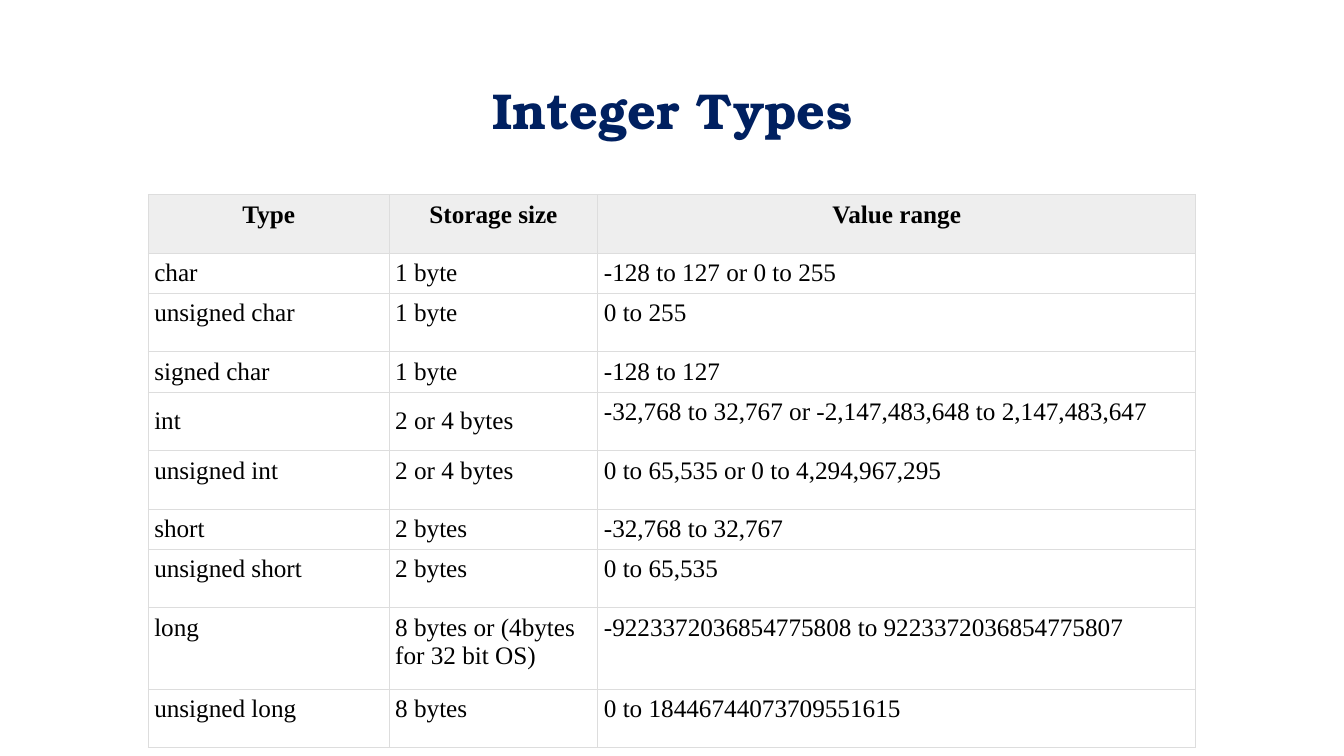
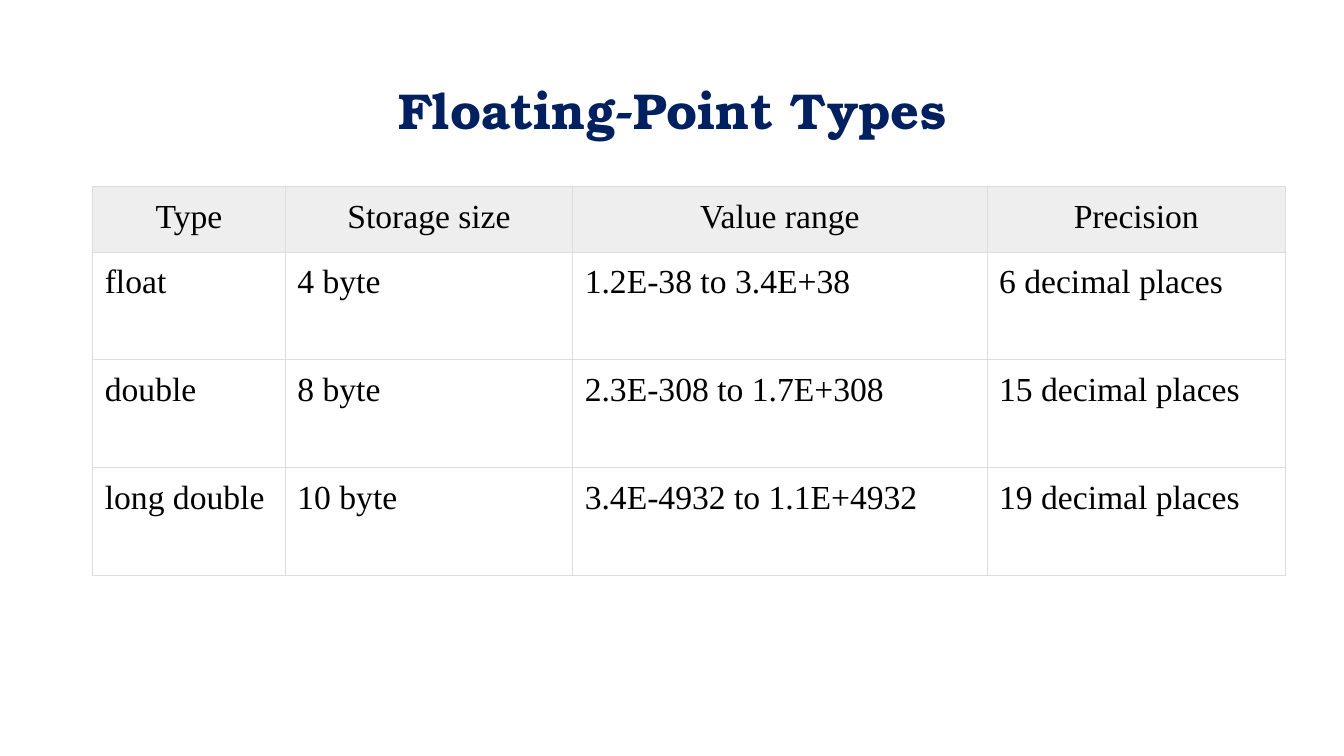
from dataclasses import dataclass

from lxml import etree
from pptx import Presentation
from pptx import util as u
from pptx.dml.color import RGBColor
from pptx.enum import text
from pptx.oxml.ns import qn

TITLE_ONLY = 5
NAVY, BLACK, HEADER_GREY, BORDER_GREY = "002060", "000000", "EEEEEE", "DDDDDD"
TITLE_FONT = {"name": "TeX Gyre Bonum", "size": u.Pt(36), "bold": True}
TITLE_FRAME = {"left": u.Inches(0.92), "top": u.Inches(0.4),
               "width": u.Inches(11.5), "height": u.Inches(1.45)}
TABLE_FONT = "Times New Roman"
BORDER_WIDTH = u.Pt(0.75)
MARGINS = ("margin_left", "margin_right", "margin_top", "margin_bottom")


@dataclass(frozen=True)
class TypeTable:
    title: str
    left: float
    top: float
    columns: tuple[float, ...]
    row_heights: tuple[float, ...]
    margin: float
    font_size: int
    bold_header: bool
    rows: tuple[tuple[str, ...], ...]
    middle_cells: tuple[tuple[int, int], ...] = ()


INTEGER_TYPES = TypeTable(
    title="Integer Types",
    left=1.47, top=1.93,
    columns=(2.39, 2.07, 5.93),
    row_heights=(0.58, 0.4, 0.58, 0.4, 0.58, 0.58, 0.4, 0.58, 0.81, 0.58),
    margin=0.06, font_size=18, bold_header=True,
    rows=(
        ("Type", "Storage size", "Value range"),
        ("char", "1 byte", "-128 to 127 or 0 to 255"),
        ("unsigned char", "1 byte", "0 to 255"),
        ("signed char", "1 byte", "-128 to 127"),
        ("int", "2 or 4 bytes", "-32,768 to 32,767 or -2,147,483,648 to 2,147,483,647"),
        ("unsigned int", "2 or 4 bytes", "0 to 65,535 or 0 to 4,294,967,295"),
        ("short", "2 bytes", "-32,768 to 32,767"),
        ("unsigned short", "2 bytes", "0 to 65,535"),
        ("long", "8 bytes or (4bytes for 32 bit OS)",
         "-9223372036854775808 to 9223372036854775807"),
        ("unsigned long", "8 bytes", "0 to 18446744073709551615"),
    ),
    middle_cells=((4, 0), (4, 1)),
)

FLOATING_POINT_TYPES = TypeTable(
    title="Floating-Point Types",
    left=0.92, top=1.85,
    columns=(1.91, 2.85, 4.11, 2.96),
    row_heights=(0.65, 1.07, 1.07, 1.07),
    margin=0.12, font_size=24, bold_header=False,
    rows=(
        ("Type", "Storage size", "Value range", "Precision"),
        ("float", "4 byte", "1.2E-38 to 3.4E+38", "6 decimal places"),
        ("double", "8 byte", "2.3E-308 to 1.7E+308", "15 decimal places"),
        ("long double", "10 byte", "3.4E-4932 to 1.1E+4932", "19 decimal places"),
    ),
)


def color(hex_value: str) -> RGBColor:
    return RGBColor.from_string(hex_value)


def apply(target, values: dict) -> None:
    """Set each named attribute of target."""
    for name, value in values.items():
        setattr(target, name, value)


def add_title(slide, title: str) -> None:
    shape = slide.shapes.title
    apply(shape, TITLE_FRAME)
    shape.text_frame.text = title
    shape.text_frame.vertical_anchor = text.MSO_ANCHOR.MIDDLE
    paragraph = shape.text_frame.paragraphs[0]
    apply(paragraph, {"alignment": text.PP_ALIGN.CENTER, "line_spacing": 0.9})
    apply(paragraph.font, TITLE_FONT)
    paragraph.font.color.rgb = color(NAVY)


def add_borders(cell) -> None:
    """Outline the cell; border lines must precede the fill in its properties."""
    properties = cell._tc.get_or_add_tcPr()
    for index, side in enumerate(("lnL", "lnR", "lnT", "lnB")):
        line = etree.Element(qn(f"a:{side}"), w=str(int(BORDER_WIDTH)))
        fill = etree.SubElement(line, qn("a:solidFill"))
        etree.SubElement(fill, qn("a:srgbClr"), val=BORDER_GREY)
        properties.insert(index, line)


def format_cell(cell, content: str, data: TypeTable, is_header: bool, is_middle: bool) -> None:
    cell.text = content
    apply(cell, dict.fromkeys(MARGINS, u.Inches(data.margin)))
    cell.vertical_anchor = text.MSO_ANCHOR.MIDDLE if is_middle else text.MSO_ANCHOR.TOP
    if is_header:
        cell.fill.solid()
        cell.fill.fore_color.rgb = color(HEADER_GREY)
    else:
        cell.fill.background()
    add_borders(cell)
    paragraph = cell.text_frame.paragraphs[0]
    paragraph.alignment = text.PP_ALIGN.CENTER if is_header else text.PP_ALIGN.LEFT
    apply(paragraph.font, {"name": TABLE_FONT, "size": u.Pt(data.font_size),
                           "bold": is_header and data.bold_header})
    paragraph.font.color.rgb = color(BLACK)


def add_type_table(slide, data: TypeTable) -> None:
    table = slide.shapes.add_table(
        len(data.rows), len(data.columns), u.Inches(data.left), u.Inches(data.top),
        u.Inches(sum(data.columns)), u.Inches(sum(data.row_heights))).table
    apply(table, {"first_row": False, "horz_banding": False})
    for column, width in zip(table.columns, data.columns):
        column.width = u.Inches(width)
    for row, height in zip(table.rows, data.row_heights):
        row.height = u.Inches(height)
    for row_index, contents in enumerate(data.rows):
        for column_index, content in enumerate(contents):
            format_cell(table.cell(row_index, column_index), content, data,
                        is_header=row_index == 0,
                        is_middle=(row_index, column_index) in data.middle_cells)


def main() -> None:
    presentation = Presentation()
    apply(presentation, {"slide_width": u.Inches(13.33), "slide_height": u.Inches(7.5)})
    for data in (INTEGER_TYPES, FLOATING_POINT_TYPES):
        slide = presentation.slides.add_slide(presentation.slide_layouts[TITLE_ONLY])
        add_title(slide, data.title)
        add_type_table(slide, data)
    presentation.save("out.pptx")


if __name__ == "__main__":
    main()
